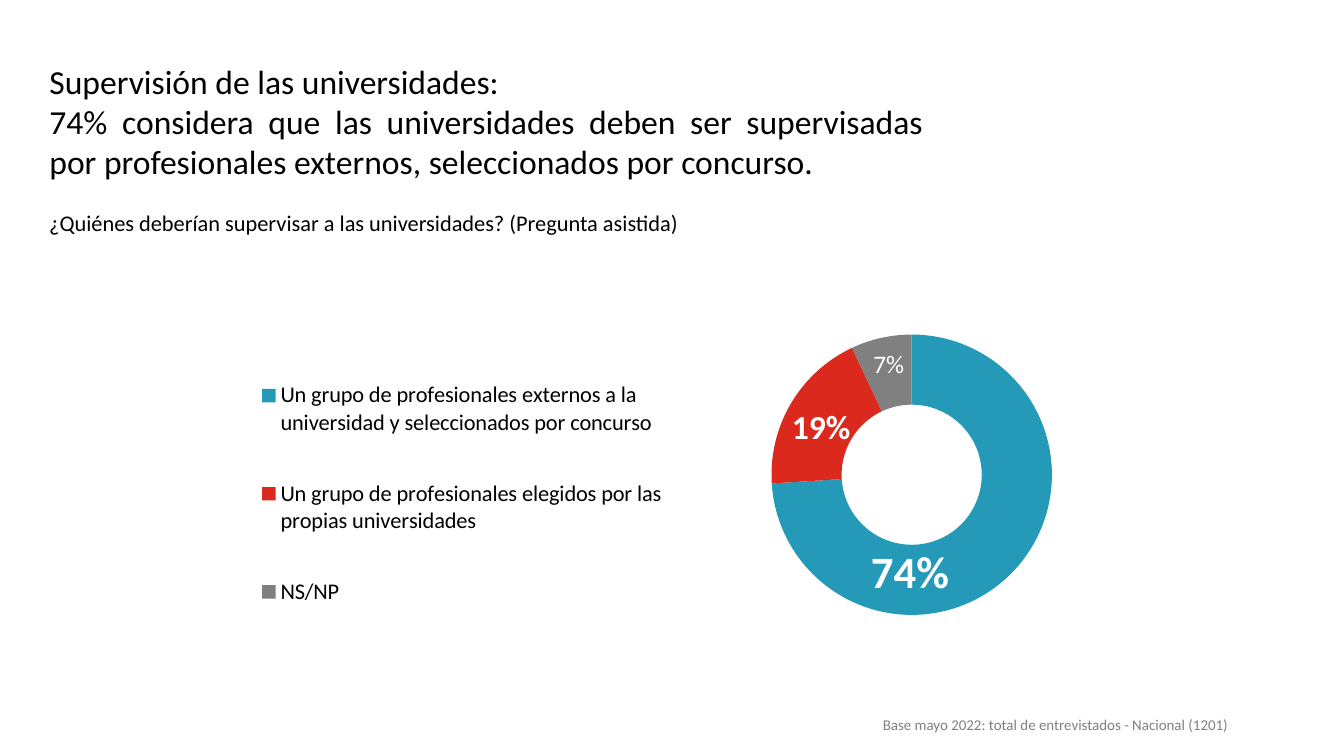
from dataclasses import dataclass

import lxml.etree
import pptx
import pptx.chart.data
import pptx.dml.color
import pptx.enum.chart
import pptx.enum.text
import pptx.oxml
import pptx.oxml.ns
import pptx.util

Pt = pptx.util.Pt
ALIGN = pptx.enum.text.PP_ALIGN
FONT = "Calibri"
COLORS = {"text": "000000", "white": "FFFFFF", "blue": "2599B8", "red": "DC291E", "gray": "808080"}


@dataclass
class Box:
    left: float
    top: float
    width: float
    height: float


@dataclass
class Caption:
    box: Box
    text: str
    size: float
    color: str
    align: ALIGN
    spacing: float


@dataclass
class Answer:
    name: str
    share: float
    color: str
    size: float
    bold: bool
    shift_x: float  # label offset, as a share of the chart frame
    shift_y: float


TITLE_BOX = Box(28.1, 39.6, 638.6, 94.3)
TITLE = [
    "Supervisión de las universidades:",
    "74% considera que las universidades deben ser supervisadas por profesionales externos, seleccionados por concurso.",
]
CAPTIONS = [
    Caption(Box(28.1, 146.2, 817.2, 26.6),
            "¿Quiénes deberían supervisar a las universidades? (Pregunta asistida)",
            16, "text", ALIGN.LEFT, 1.0),
    Caption(Box(623.5, 509, 302.4, 18.7),
            "Base mayo 2022: total de entrevistados - Nacional (1201)",
            10.7, "gray", ALIGN.JUSTIFY, 0.9),
]
CHART_BOX = Box(131, 203.8, 698.4, 270.7)
ANSWERS = [
    Answer("Un grupo de profesionales externos a la universidad y seleccionados por concurso",
           0.74, "blue", 32, True, -0.08, 0.07),
    Answer("Un grupo de profesionales elegidos por las propias universidades",
           0.19, "red", 24, True, 0, 0.02),
    Answer("NS/NP", 0.07, "gray", 18, False, 0, -0.02),
]
# Shares of the chart frame
RING = Box(0.6, 0.13, 0.29, 0.74)
LEGEND = Box(0.06, 0.14, 0.45, 0.82)


def points(box: Box) -> list:
    return [Pt(v) for v in (box.left, box.top, box.width, box.height)]


def rgb(name: str) -> pptx.dml.color.RGBColor:
    return pptx.dml.color.RGBColor.from_string(COLORS[name])


def set_font(font, size: float, color: str, bold: bool = False) -> None:
    font.name, font.size, font.bold = FONT, Pt(size), bold
    font.color.rgb = rgb(color)


def make_layout(content: str) -> lxml.etree._Element:
    return pptx.oxml.parse_xml(
        f'<c:layout {pptx.oxml.ns.nsdecls("c")}>'
        f'<c:manualLayout>{content}</c:manualLayout></c:layout>')


def box_layout(box: Box, target: str = "") -> lxml.etree._Element:
    return make_layout(
        f'{target}<c:xMode val="edge"/><c:yMode val="edge"/>'
        f'<c:x val="{box.left}"/><c:y val="{box.top}"/>'
        f'<c:w val="{box.width}"/><c:h val="{box.height}"/>')


def remove_layout(element: lxml.etree._Element) -> None:
    for old in element.findall(pptx.oxml.ns.qn("c:layout")):
        element.remove(old)


def add_title(s) -> None:
    sp = s.shapes.title
    sp.left, sp.top, sp.width, sp.height = points(TITLE_BOX)
    tf = sp.text_frame
    tf.text = "\n".join(TITLE)
    tf.word_wrap = True
    tf.auto_size = pptx.enum.text.MSO_AUTO_SIZE.NONE
    tf.vertical_anchor = pptx.enum.text.MSO_ANCHOR.TOP
    for p in tf.paragraphs:
        p.alignment = ALIGN.JUSTIFY
        set_font(p.font, 24, "text")


def add_caption(s, caption: Caption) -> None:
    tf = s.shapes.add_textbox(*points(caption.box)).text_frame
    tf.word_wrap = True
    p = tf.paragraphs[0]
    p.text = caption.text
    p.alignment, p.line_spacing = caption.align, caption.spacing
    set_font(p.font, caption.size, caption.color)


def add_doughnut(s) -> None:
    data = pptx.chart.data.CategoryChartData(number_format="0%")
    data.categories = [a.name for a in ANSWERS]
    data.add_series("Series 1", [a.share for a in ANSWERS])
    chart = s.shapes.add_chart(
        pptx.enum.chart.XL_CHART_TYPE.DOUGHNUT, *points(CHART_BOX), data).chart
    chart.has_title = False
    set_font(chart.font, 14, "text")

    # Ring position
    area = chart._chartSpace.chart.plotArea
    remove_layout(area)
    area.insert(0, box_layout(RING, '<c:layoutTarget val="inner"/>'))

    # Legend to the left of the ring
    chart.has_legend = True
    legend = chart.legend
    legend.position = pptx.enum.chart.XL_LEGEND_POSITION.RIGHT
    legend.include_in_layout = False
    set_font(legend.font, 16, "text")
    element = legend._element
    remove_layout(element)
    element.find(pptx.oxml.ns.qn("c:legendPos")).addnext(box_layout(LEGEND))

    # Slices and their labels
    series = chart.plots[0].series[0]
    labels = series.data_labels
    labels.show_value, labels.show_percentage = True, False
    labels.number_format, labels.number_format_is_linked = "0%", False
    set_font(labels.font, 24, "white")
    for i, answer in enumerate(ANSWERS):
        point = series.points[i]
        point.format.fill.solid()
        point.format.fill.fore_color.rgb = rgb(answer.color)
        point.format.line.fill.background()
        set_font(point.data_label.font, answer.size, "white", answer.bold)
        label = labels._element.findall(pptx.oxml.ns.qn("c:dLbl"))[i]
        label.find(pptx.oxml.ns.qn("c:idx")).addnext(make_layout(
            f'<c:x val="{answer.shift_x}"/><c:y val="{answer.shift_y}"/>'))


def main() -> None:
    prs = pptx.Presentation()
    prs.slide_width, prs.slide_height = Pt(960), Pt(540)
    s = prs.slides.add_slide(prs.slide_layouts.get_by_name("Title Only"))
    add_title(s)
    for caption in CAPTIONS:
        add_caption(s, caption)
    add_doughnut(s)
    prs.save("out.pptx")


if __name__ == "__main__":
    main()
